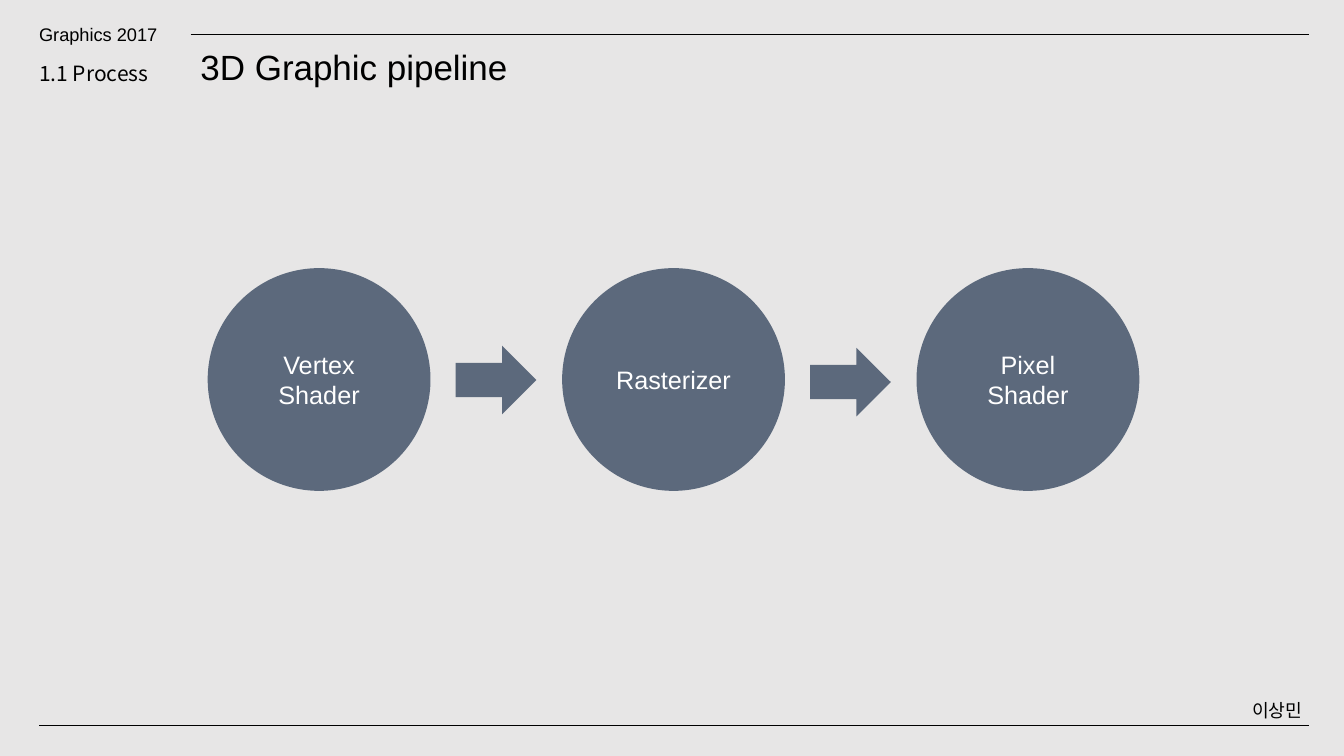
from dataclasses import dataclass

from pptx import Presentation
from pptx import util as u
from pptx.dml import color
from pptx.enum import shapes, text
from pptx.oxml import ns
from lxml import etree

COLORS = {"background": "E7E6E6", "ink": "000000", "stage": "44546A", "label": "FFFFFF"}
LATIN, KOREAN = "Arial", "Noto Sans CJK KR"
STAGE_ALPHA = 85
STAGE_LEFT, STAGE_TOP, STAGE_SIZE, STAGE_PITCH = 2.06, 2.66, 2.21, 3.515
ARROW_OFFSET, ARROW_WIDTH, ARROW_HEIGHT = 2.46, 0.8, 0.68


@dataclass
class Box:
    left: float
    top: float
    width: float
    height: float

    def emu(self) -> list:
        return [u.Inches(v) for v in (self.left, self.top, self.width, self.height)]


@dataclass
class Label:
    words: str
    box: Box
    size: float
    font: str = LATIN


@dataclass
class Rule:
    left: float
    right: float
    y: float


LABELS = [
    Label("Graphics 2017", Box(0.29, 0.18, 1.6, 0.32), 13),
    Label("이상민", Box(12.32, 6.89, 0.77, 0.32), 13, KOREAN),
    Label("1.1 Process", Box(0.29, 0.55, 1.77, 0.35), 15, KOREAN),
    Label("3D Graphic pipeline", Box(1.89, 0.4, 4.5, 0.52), 25),
]
RULES = [Rule(1.89, 12.98, 0.34), Rule(0.39, 12.98, 7.2)]
STAGES = ["Vertex Shader", "Rasterizer", "Pixel Shader"]
ARROW_TOPS = [3.43, 3.45]


def rgb(name: str) -> color.RGBColor:
    return color.RGBColor.from_string(COLORS[name])


def apply(target, values: dict) -> None:
    for name, value in values.items():
        setattr(target, name, value)


def write(tf, words: str, size: float, font: str, ink: str) -> None:
    r = tf.paragraphs[0].add_run()
    r.text = words
    apply(r.font, {"size": u.Pt(size), "name": font})
    r.font.color.rgb = rgb(ink)
    etree.SubElement(r.font._element, ns.qn("a:ea"), typeface=font)


def add_label(s, label: Label) -> None:
    tf = s.shapes.add_textbox(*label.box.emu()).text_frame
    apply(tf, {"word_wrap": True, "auto_size": text.MSO_AUTO_SIZE.SHAPE_TO_FIT_TEXT})
    write(tf, label.words, label.size, label.font, "ink")


def add_rule(s, rule: Rule) -> None:
    y = u.Inches(rule.y)
    sp = s.shapes.add_connector(
        shapes.MSO_CONNECTOR.STRAIGHT, u.Inches(rule.left), y, u.Inches(rule.right), y
    )
    sp.line.color.rgb = rgb("ink")
    sp.line.width = u.Pt(0.5)
    etree.SubElement(sp._element.spPr, ns.qn("a:effectLst"))


def add_solid(s, kind: shapes.MSO_SHAPE, box: Box):
    sp = s.shapes.add_shape(kind, *box.emu())
    sp.shadow.inherit = False
    sp.line.fill.background()
    sp.fill.solid()
    sp.fill.fore_color.rgb = rgb("stage")
    clr = sp._element.spPr.find(".//" + ns.qn("a:srgbClr"))
    etree.SubElement(clr, ns.qn("a:alpha"), val=str(STAGE_ALPHA * 1000))
    return sp


def add_stage(s, words: str, left: float) -> None:
    box = Box(left, STAGE_TOP, STAGE_SIZE, STAGE_SIZE)
    tf = add_solid(s, shapes.MSO_SHAPE.OVAL, box).text_frame
    apply(tf, {"word_wrap": True, "vertical_anchor": text.MSO_ANCHOR.MIDDLE})
    tf.paragraphs[0].alignment = text.PP_ALIGN.CENTER
    write(tf, words, 18, LATIN, "label")


def main() -> None:
    prs = Presentation()
    apply(prs, {"slide_width": u.Inches(13.33), "slide_height": u.Inches(7.5)})
    s = prs.slides.add_slide(prs.slide_layouts[6])
    s.background.fill.solid()
    s.background.fill.fore_color.rgb = rgb("background")

    for rule in RULES:
        add_rule(s, rule)
    for label in LABELS:
        add_label(s, label)
    for i, words in enumerate(STAGES):
        add_stage(s, words, STAGE_LEFT + i * STAGE_PITCH)
    for i, top in enumerate(ARROW_TOPS):
        left = STAGE_LEFT + i * STAGE_PITCH + ARROW_OFFSET
        add_solid(s, shapes.MSO_SHAPE.RIGHT_ARROW, Box(left, top, ARROW_WIDTH, ARROW_HEIGHT))

    prs.save("out.pptx")


if __name__ == "__main__":
    main()
